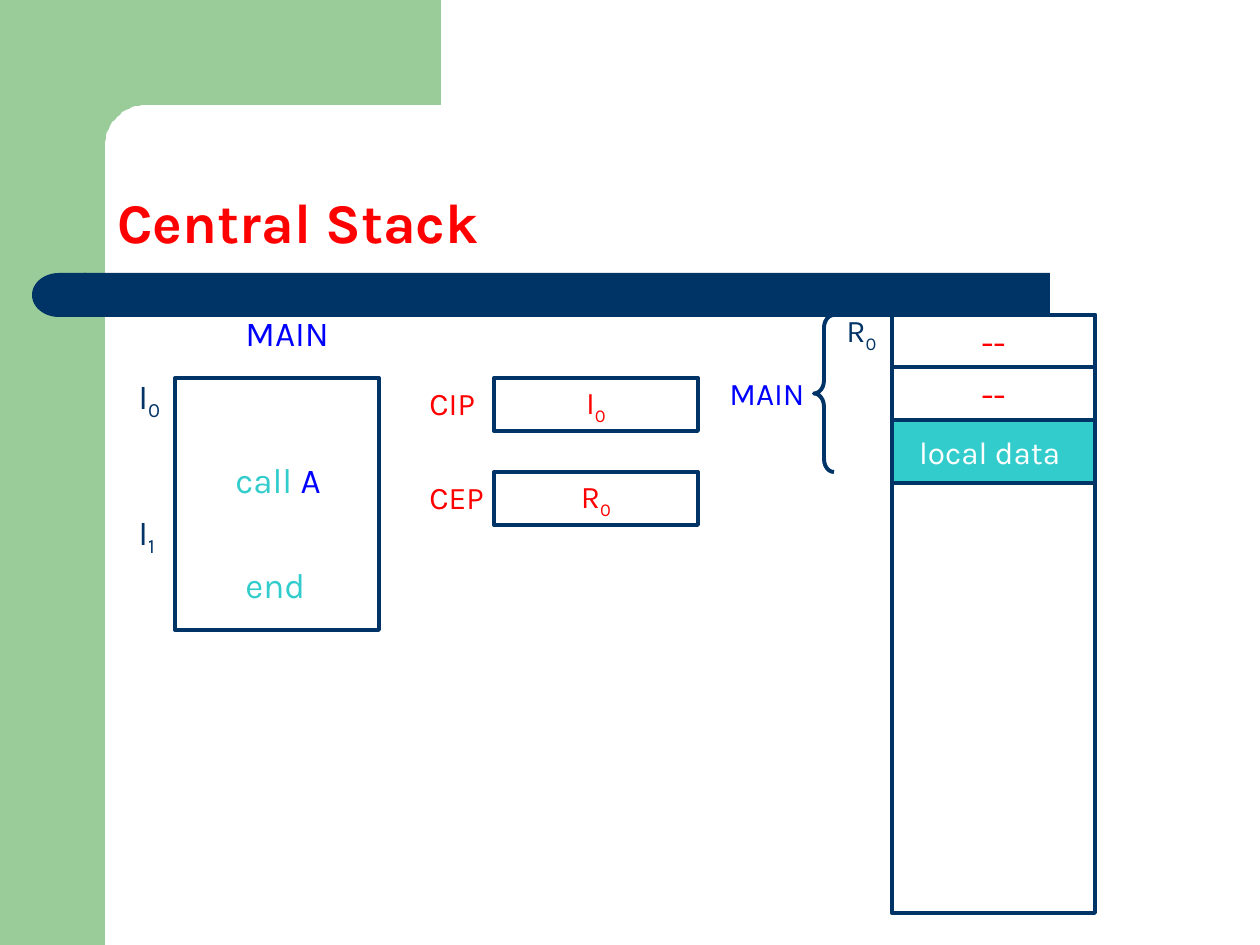
import math
from pptx import Presentation
from pptx import util as u
from pptx.dml.color import RGBColor
from pptx.enum import shapes, text

SCALE = 914400 / 126
KIND = shapes.MSO_SHAPE
MID = text.MSO_ANCHOR.MIDDLE
CENTER = text.PP_ALIGN.CENTER
FONT = "Karla"
NAVY, GREEN, TEAL = "003366", "99CC99", "33CCCC"
RED, BLUE, WHITE = "FF0000", "0000FF", "FFFFFF"


def px(n):
    return u.Emu(round(n * SCALE))


def color(code):
    return RGBColor.from_string(code)


def paint(shape, fill=None, line=None):
    shape.shadow.inherit = False
    if fill:
        shape.fill.solid()
        shape.fill.fore_color.rgb = color(fill)
    else:
        shape.fill.background()
    if line:
        shape.line.color.rgb = color(line)
        shape.line.width = u.Pt(2.25)
    else:
        shape.line.fill.background()


def write(shape, *runs, size=18, ink=NAVY, bold=False, align=text.PP_ALIGN.LEFT,
          anchor=text.MSO_ANCHOR.TOP, wrap=True, space=None):
    """Each run is a string, or a tuple of string, colour and subscript flag."""
    frame = shape.text_frame
    frame.word_wrap = wrap
    frame.vertical_anchor = anchor
    para = frame.paragraphs[0]
    para.alignment = align
    if space:
        para.line_spacing = space
    for item in runs:
        words, tint, sub = (item, ink, False) if isinstance(item, str) else item
        run = para.add_run()
        run.text = words
        font = run.font
        font.name, font.size, font.bold = FONT, u.Pt(size), bold
        font.color.rgb = color(tint)
        if sub:
            font._element.set("baseline", "-25000")


def index(name, sub, ink):
    return (name, ink, False), (sub, ink, True)


def block(slide, box, kind=KIND.RECTANGLE, fill=None, line=None):
    shape = slide.shapes.add_shape(kind, *map(px, box))
    paint(shape, fill, line)
    return shape


def cell(slide, box, *runs, fill=None, **form):
    shape = block(slide, box, fill=fill, line=NAVY)
    write(shape, *runs, align=CENTER, anchor=MID, wrap=False, **form)


def label(slide, box, *runs, **form):
    write(slide.shapes.add_textbox(*map(px, box)), *runs, **form)


def frame(slide):
    block(slide, (0, 0, 105, 945), fill=GREEN)
    # Top band with a rounded inner corner
    arc = [(146 - 41 * math.sin(a), 146 - 41 * math.cos(a))
           for a in (math.radians(d) for d in range(0, 91, 5))]
    path = [(441, 105), *arc, (105, 161), (63, 161), (63, 0)]
    form = slide.shapes.build_freeform(441, 0, SCALE)
    form.add_line_segments(path, close=True)
    paint(form.convert_to_shape(), GREEN)
    # Title bar with a round left end
    block(slide, (84, 273, 966, 44), fill=NAVY)
    cap = block(slide, (32, 273, 54, 44), KIND.FLOWCHART_DELAY, NAVY)
    cap._element.spPr.xfrm.set("flipH", "1")
    label(slide, (105, 105, 1092, 157), "Central Stack", size=32, ink=RED,
          bold=True, anchor=text.MSO_ANCHOR.BOTTOM, space=0.9)


def code(slide):
    block(slide, (175, 378, 204, 252), line=NAVY)
    label(slide, (233, 305, 126, 55), "MAIN", size=20, ink=BLUE)
    label(slide, (223, 452, 126, 55), "call ", ("A", BLUE, False), size=20, ink=TEAL)
    label(slide, (233, 557, 87, 97), "end", size=20, ink=TEAL)
    for sub, top in (("0", 368), ("1", 504)):
        label(slide, (126, top, 58, 60), *index("I", sub, NAVY), size=20)


def registers(slide):
    rows = ("CIP", "I", 378), ("CEP", "R", 472)
    for name, value, top in rows:
        cell(slide, (494, top, 204, 53), *index(value, "0", RED))
        label(slide, (417, top, 97, 50), name, ink=RED)


def stack(slide):
    left, top, wide = 892, 315, 203
    cell(slide, (left, 420, wide, 63), "local data ", fill=TEAL, ink=WHITE)
    for row in range(2):
        cell(slide, (left, top + 52.5 * row, wide, 52.5), "--", size=20, ink=RED)
    block(slide, (left, top, wide, 598), line=NAVY)
    # Activation record of MAIN
    label(slide, (834, 305, 58, 55), *index("R", "0", NAVY))
    brace = block(slide, (814, top, 20, 157), KIND.LEFT_BRACE, line=NAVY)
    brace.adjustments[0] = 0.65
    label(slide, (717, 368, 107, 88), "MAIN", ink=BLUE)


def main():
    deck = Presentation()
    deck.slide_width, deck.slide_height = px(1260), px(945)
    slide = deck.slides.add_slide(deck.slide_layouts[6])
    for draw in (frame, code, registers, stack):
        draw(slide)
    deck.save("out.pptx")


main()
